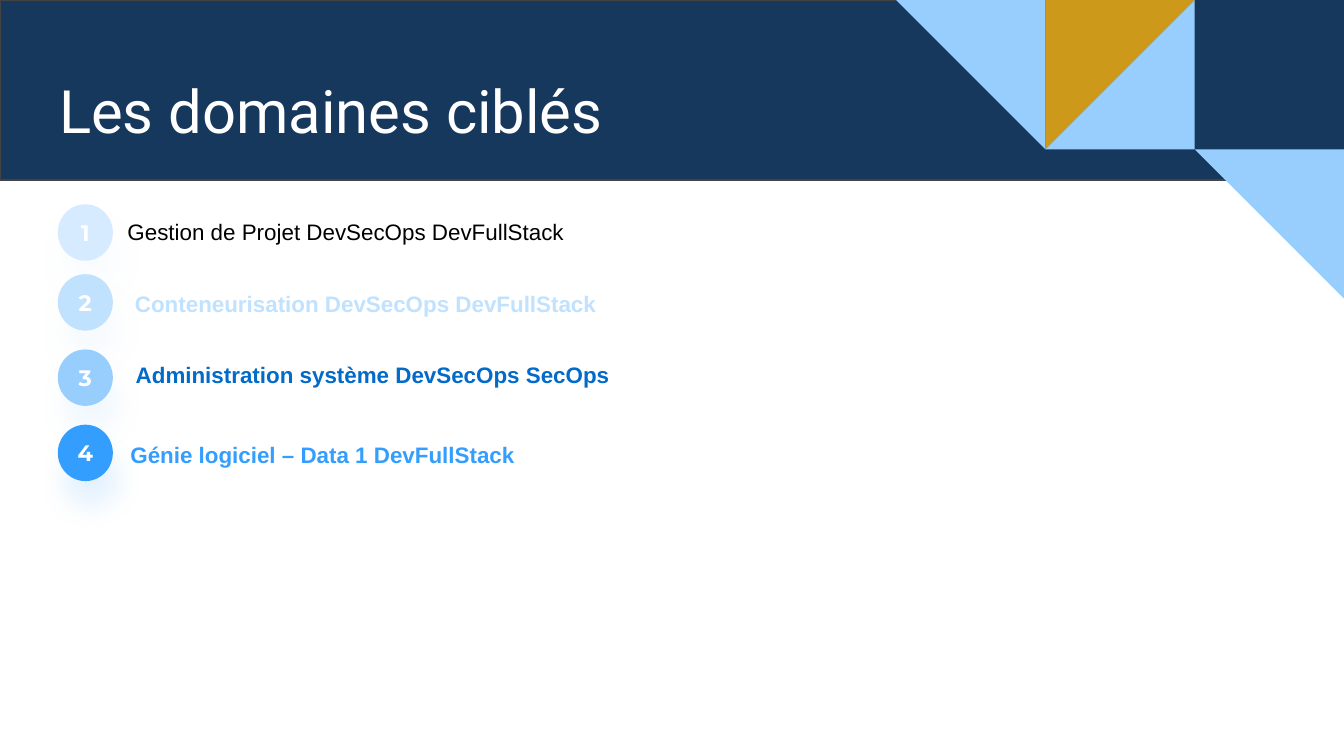
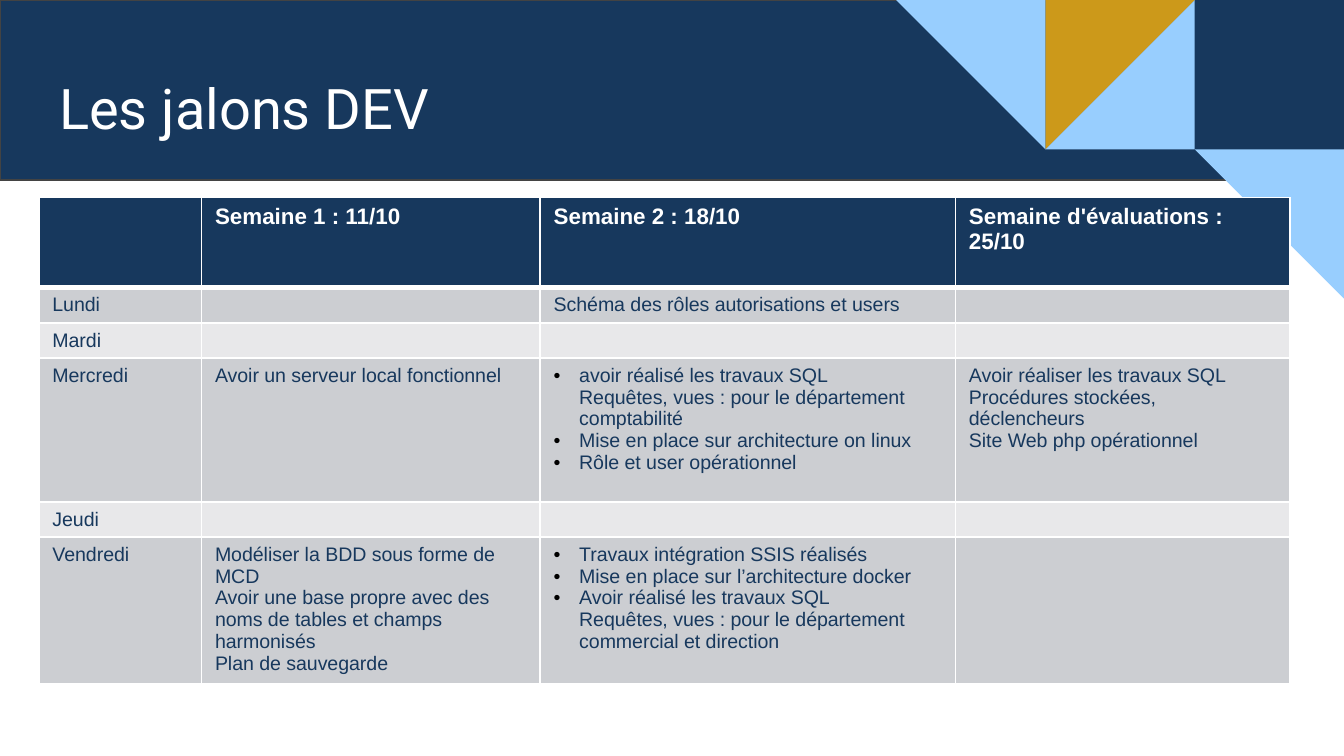
"""Build two slides on training domains and development milestones."""
import pptx
import pptx.dml.color
import pptx.enum.shapes
import pptx.enum.text
import pptx.oxml.ns
import pptx.util
from lxml import etree

RGBColor = pptx.dml.color.RGBColor
Inches, Pt, qn = pptx.util.Inches, pptx.util.Pt, pptx.oxml.ns.qn
SHAPE = pptx.enum.shapes.MSO_SHAPE
ANCHOR = pptx.enum.text.MSO_ANCHOR
ALIGN = pptx.enum.text.PP_ALIGN

NAVY = RGBColor(0x17, 0x38, 0x5D)
SKY = RGBColor(0x98, 0xCE, 0xFE)
GOLD = RGBColor(0xCC, 0x99, 0x1A)
OUTLINE = RGBColor(0x43, 0x43, 0x43)
WHITE = RGBColor(0xFF, 0xFF, 0xFF)
BLACK = RGBColor(0x00, 0x00, 0x00)
PALE = RGBColor(0xD6, 0xEB, 0xFF)
LIGHT = RGBColor(0xC1, 0xE2, 0xFE)
BLUE = RGBColor(0x02, 0x6B, 0xC9)
BRIGHT = RGBColor(0x33, 0x9E, 0xFD)
GREY = RGBColor(0xCC, 0xCE, 0xD2)
LIGHT_GREY = RGBColor(0xE8, 0xE8, 0xEA)

WIDTH = 10
HEIGHT = WIDTH * 9 / 16
TILE = WIDTH / 9
ITEM = {"name": "Arial", "size": Pt(12), "bold": True}
NUMBER = {"name": "Montserrat", "size": Pt(12), "bold": True}
BODY = {"name": "Arial", "size": Pt(10.5), "bold": False}
NO_INSETS = dict.fromkeys(("margin_left", "margin_top", "margin_right", "margin_bottom"), 0)


def write(paragraph, text, color, font, alignment=ALIGN.LEFT):
    paragraph.text = text
    paragraph.alignment = alignment
    for run in paragraph.runs:
        run.font.color.rgb = color
        for name, value in font.items():
            setattr(run.font, name, value)


def add_filled_shape(slide, kind, left, top, width, height, color):
    shape = slide.shapes.add_shape(kind, *map(Inches, (left, top, width, height)))
    shape.shadow.inherit = False
    shape.fill.solid()
    shape.fill.fore_color.rgb = color
    shape.line.fill.background()
    return shape


presentation = pptx.Presentation()
presentation.slide_width, presentation.slide_height = Inches(WIDTH), Inches(HEIGHT)

TILES = [
    (SHAPE.RECTANGLE, 8, 0, 0, NAVY),
    (SHAPE.RIGHT_TRIANGLE, 7, 0, 270, SKY),
    (SHAPE.RIGHT_TRIANGLE, 7, 0, 90, GOLD),
    (SHAPE.RIGHT_TRIANGLE, 6, 0, 180, SKY),
    (SHAPE.RIGHT_TRIANGLE, 8, 1, 180, SKY),
]
slides = []
for heading, size in [("Les domaines ciblés", 32), ("Les jalons DEV", 30)]:
    slide = presentation.slides.add_slide(presentation.slide_layouts[5])
    slides.append(slide)
    title = slide.shapes.title
    band = add_filled_shape(slide, SHAPE.RECTANGLE, 0, 0, WIDTH, 1.34, NAVY)
    band.line.color.rgb = OUTLINE
    band.line.width = Pt(0.75)
    title.element.addprevious(band.element)
    for kind, column, row, rotation, color in TILES:
        tile = add_filled_shape(slide, kind, column * TILE, row * TILE, TILE, TILE, color)
        tile.rotation = rotation
        title.element.addprevious(tile.element)
    title.left, title.top, title.width, title.height = map(Inches, (0.34, 0.45, 9.32, 0.66))
    frame = title.text_frame
    frame.auto_size = pptx.enum.text.MSO_AUTO_SIZE.NONE
    frame.vertical_anchor = ANCHOR.TOP
    for margin in NO_INSETS:
        setattr(frame, margin, Inches(0.1))
    write(frame.paragraphs[0], heading, WHITE, {"name": "Roboto", "size": Pt(size)})

domains_slide, milestones_slide = slides

DOMAINS = [
    ("Gestion de Projet DevSecOps DevFullStack", 1.52, PALE, BLACK, False, ALIGN.RIGHT, (-0.94, 1.62, 5.14)),
    ("Conteneurisation DevSecOps DevFullStack", 2.04, LIGHT, LIGHT, True, ALIGN.RIGHT, (-0.33, 2.16, 4.77)),
    ("Administration système DevSecOps SecOps", 2.6, SKY, BLUE, True, ALIGN.LEFT, (1.01, 2.69, 3.95)),
    ("Génie logiciel – Data 1 DevFullStack", 3.16, BRIGHT, BRIGHT, True, ALIGN.LEFT, (0.97, 3.28, 3.79)),
]
for number, (domain, top, fill, color, bold, alignment, place) in enumerate(DOMAINS, 1):
    label = domains_slide.shapes.add_textbox(*map(Inches, (*place, 0.2)))
    circle = add_filled_shape(domains_slide, SHAPE.OVAL, 0.43, top, 0.41, 0.42, fill)
    for shape, anchor in ((label, ANCHOR.BOTTOM), (circle, ANCHOR.MIDDLE)):
        frame_format = {**NO_INSETS, "word_wrap": True, "vertical_anchor": anchor}
        for name, value in frame_format.items():
            setattr(shape.text_frame, name, value)
    write(label.text_frame.paragraphs[0], domain, color, {**ITEM, "bold": bold}, alignment)
    write(circle.text_frame.paragraphs[0], str(number), WHITE, NUMBER, ALIGN.CENTER)
    for properties in circle.element.iter(qn("a:rPr")):
        properties.set("spc", "130")
    effects = circle.element.spPr.find(qn("a:effectLst"))
    shadow = etree.SubElement(effects, qn("a:outerShdw"), blurRad=str(Pt(14)), dist=str(Pt(14)),
                              dir=str(78 * 60000), algn="ctr", rotWithShape="0")
    shadow_color = etree.SubElement(shadow, qn("a:srgbClr"), val=str(fill))
    etree.SubElement(shadow_color, qn("a:alpha"), val="13000")

COLUMNS = [1.21, 2.52, 3.09, 2.49]
ROWS = [0.67, 0.26, 0.26, 1.07, 0.26, 1.09]
BULLET_COLUMN = 2
MILESTONES = [
    [[""], ["Semaine 1 : 11/10"], ["Semaine 2 : 18/10"], ["Semaine d'évaluations : 25/10"]],
    [["Lundi"], [""], ["Schéma des rôles autorisations et users"], [""]],
    [["Mardi"], [""], [""], [""]],
    [["Mercredi"],
     ["Avoir un serveur local fonctionnel"],
     ["avoir réalisé les travaux SQL\vRequêtes, vues : pour le département comptabilité",
      "Mise en place sur architecture on linux",
      "Rôle et user opérationnel"],
     ["Avoir réaliser les travaux SQL\vProcédures stockées, déclencheurs",
      "Site Web php opérationnel"]],
    [["Jeudi"], [""], [""], [""]],
    [["Vendredi"],
     ["Modéliser la BDD sous forme de MCD",
      "Avoir une base propre avec des noms de tables et champs harmonisés",
      "Plan de sauvegarde"],
     ["Travaux intégration SSIS réalisés",
      "Mise en place sur l’architecture docker",
      "Avoir réalisé les travaux SQL\vRequêtes, vues : pour le département commercial et direction"],
     [""]],
]
table = milestones_slide.shapes.add_table(
    len(ROWS), len(COLUMNS), *map(Inches, (0.29, 1.47, sum(COLUMNS), sum(ROWS)))).table
for column, width in zip(table.columns, COLUMNS):
    column.width = Inches(width)
for row, height in zip(table.rows, ROWS):
    row.height = Inches(height)
for row_index, row in enumerate(MILESTONES):
    is_header = row_index == 0
    for column_index, lines in enumerate(row):
        cell = table.cell(row_index, column_index)
        cell_properties = cell._tc.get_or_add_tcPr()
        for side in ("lnL", "lnR", "lnT", "lnB"):
            thick = (row_index, side) in ((0, "lnB"), (1, "lnT"))
            border = etree.SubElement(cell_properties, qn(f"a:{side}"), w=str(Pt(3 if thick else 1)))
            border_fill = etree.SubElement(border, qn("a:solidFill"))
            etree.SubElement(border_fill, qn("a:srgbClr"), val=str(WHITE))
        cell.fill.solid()
        cell.fill.fore_color.rgb = NAVY if is_header else (GREY if row_index % 2 else LIGHT_GREY)
        for line_index, line in enumerate(lines):
            frame = cell.text_frame
            paragraph = frame.add_paragraph() if line_index else frame.paragraphs[0]
            write(paragraph, line, WHITE if is_header else NAVY, ITEM if is_header else BODY)
            if not line:
                end_properties = etree.SubElement(paragraph._p, qn("a:endParaRPr"), sz="1050")
                etree.SubElement(end_properties, qn("a:latin"), typeface="Arial")
            if column_index == BULLET_COLUMN and len(lines) > 1:
                paragraph_properties = paragraph._p.get_or_add_pPr()
                paragraph_properties.set("marL", str(Inches(0.19)))
                paragraph_properties.set("indent", str(Inches(-0.19)))
                bullet_color = etree.SubElement(paragraph_properties, qn("a:buClr"))
                etree.SubElement(bullet_color, qn("a:srgbClr"), val=str(BLACK))
                etree.SubElement(paragraph_properties, qn("a:buFont"), typeface="Arial")
                etree.SubElement(paragraph_properties, qn("a:buChar"), char="•")

presentation.save("out.pptx")
